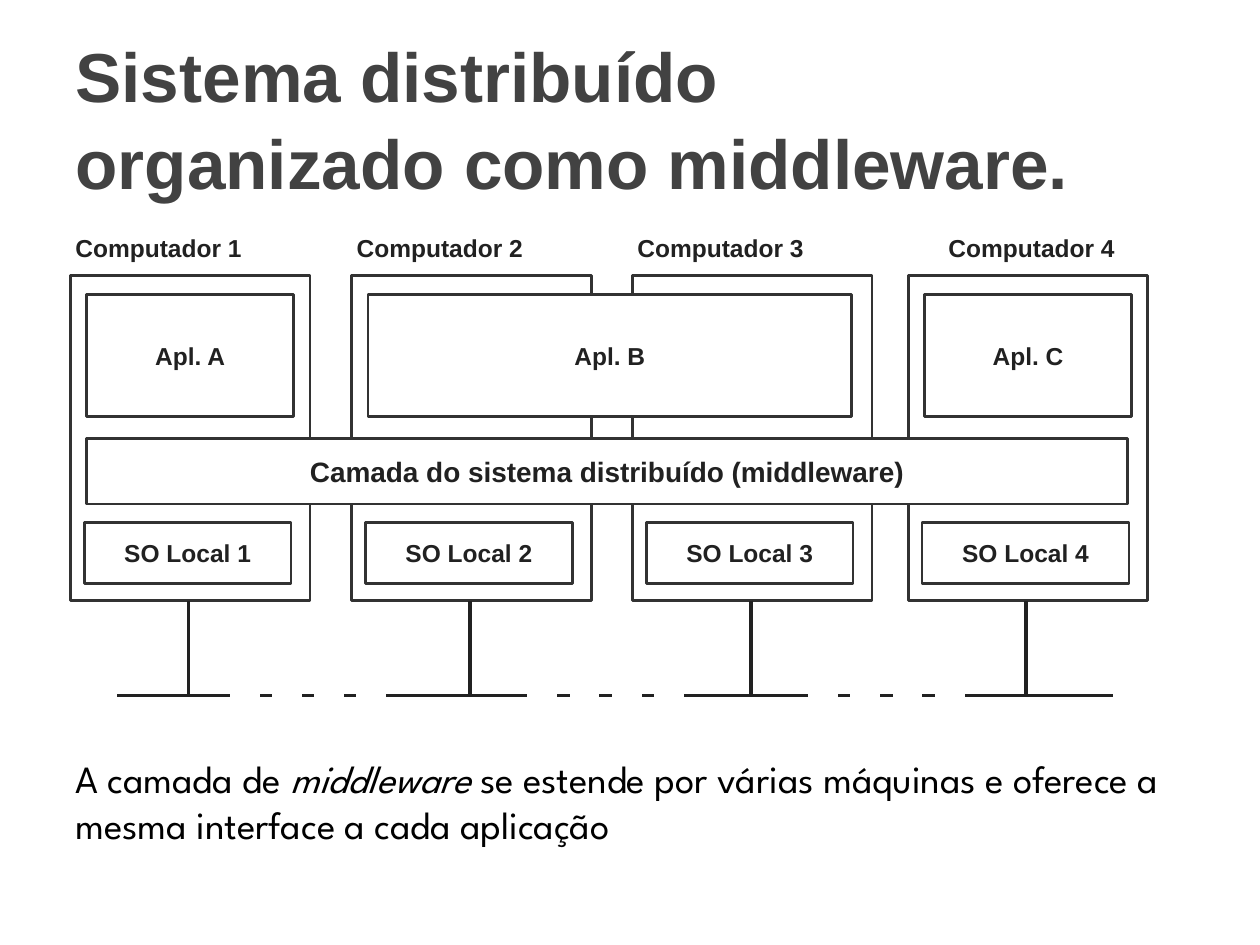
from dataclasses import dataclass
from typing import NamedTuple

from lxml.etree import SubElement
from pptx import Presentation
from pptx.dml.color import RGBColor
from pptx.enum.shapes import MSO_CONNECTOR as Connector, MSO_SHAPE as Shape
from pptx.enum.text import MSO_ANCHOR as Anchor, MSO_AUTO_SIZE as AutoSize, PP_ALIGN as Align
from pptx.oxml.ns import qn
from pptx.util import Cm, Pt


@dataclass(frozen=True)
class Theme:
    heading_font: str = "Arial"
    body_font: str = "League Spartan"
    title: str = "424242"
    ink: str = "212121"
    outline: str = "323232"
    paper: str = "FFFFFF"
    black: str = "000000"
    title_size: float = 39.6
    body_size: float = 22
    layer_size: float = 16
    label_size: float = 14


class Box(NamedTuple):
    """Left, top, width and height in centimetres."""
    x: float
    y: float
    w: float
    h: float

    def inner(self, dx, dy, w, h):
        return Box(self.x + dx, self.y + dy, w, h)

    def lengths(self):
        return [Cm(value) for value in self]


THEME = Theme()
COMPUTER_LEFTS = [0, 5.67, 11.33, 16.89]
LABEL_SHIFTS = [-0.15, -0.15, -0.15, 0.56]
COMPUTER_W, COMPUTER_H = 4.83, 6.55
APP_W, APP_H = 4.17, 2.46
GAP_STARTS = [3.25, 9.25, 14.91]
GAPS_PER_RUN, GAP_STEP = 4, 0.85


def write(frame, *parts, size=THEME.label_size, font=THEME.heading_font, color=THEME.ink,
          bold=True, align=Align.LEFT, anchor=Anchor.TOP, wrap=True, spacing=None):
    """Fill a frame with one paragraph; a part is text or (text, italic)."""
    frame.word_wrap = wrap
    frame.vertical_anchor = anchor
    para = frame.paragraphs[0]
    para.alignment = align
    para.line_spacing = spacing
    for part in parts:
        text, italic = part if isinstance(part, tuple) else (part, False)
        span = para.add_run()
        span.text = text
        span.font.size = Pt(size)
        span.font.name = font
        span.font.bold = bold
        span.font.italic = italic
        span.font.color.rgb = RGBColor.from_string(color)


def add_text(page, box, *parts, **style):
    text_box = page.shapes.add_textbox(*box.lengths())
    write(text_box.text_frame, *parts, **style)
    text_box.text_frame.auto_size = AutoSize.SHAPE_TO_FIT_TEXT


def add_block(page, box, text=None, line=THEME.outline, width=1.5, **style):
    block = page.shapes.add_shape(Shape.RECTANGLE, *box.lengths())
    block.shadow.inherit = False
    block.fill.solid()
    block.fill.fore_color.rgb = RGBColor.from_string(THEME.paper)
    block.line.color.rgb = RGBColor.from_string(line)
    block.line.width = Pt(width)
    if text:
        write(block.text_frame, text, align=Align.CENTER, anchor=Anchor.MIDDLE, **style)


def add_line(page, x1, y1, x2, y2):
    line = page.shapes.add_connector(Connector.STRAIGHT, Cm(x1), Cm(y1), Cm(x2), Cm(y2))
    line.line.color.rgb = RGBColor.from_string(THEME.ink)
    line.line.width = Pt(2.25)
    SubElement(line._element.spPr, qn("a:effectLst"))


def add_title(page, box):
    title = page.shapes.title
    title.left, title.top, title.width, title.height = box.lengths()
    write(title.text_frame, "Sistema distribuído organizado como middleware.",
          size=THEME.title_size, color=THEME.title, anchor=Anchor.MIDDLE, spacing=1.04)


def add_computer(page, box, number, label_shift):
    """A machine with its name, its local system and its link to the network."""
    add_block(page, box)
    add_block(page, box.inner(0.28, 4.98, APP_W, 1.22), f"SO Local {number}")
    add_text(page, box.inner(label_shift, -0.99, 3.89, 0.86), f"Computador {number}", wrap=False)
    link_x, bottom = box.x + 2.38, box.y + box.h
    add_line(page, link_x, bottom, link_x, bottom + 1.91)


def add_network(page, box):
    """A bus line, broken into dashes between the machines."""
    y = box.y + 8.46
    add_line(page, box.x + 0.94, y, box.x + 21.01, y)
    for start in GAP_STARTS:
        for index in range(GAPS_PER_RUN):
            gap = Box(box.x + start + index * GAP_STEP, y - 0.28, 0.53, 0.56)
            add_block(page, gap, line=THEME.paper, width=2)


def add_diagram(page, box):
    computers = [box.inner(left, 0, COMPUTER_W, COMPUTER_H) for left in COMPUTER_LEFTS]
    add_network(page, box)
    for number, (computer, shift) in enumerate(zip(computers, LABEL_SHIFTS), start=1):
        add_computer(page, computer, number, shift)

    # Applications: B spans the second and third machines
    apps = [("A", computers[0], APP_W), ("B", computers[1], 9.75), ("C", computers[3], APP_W)]
    for name, computer, width in apps:
        add_block(page, computer.inner(0.33, 0.38, width, APP_H), f"Apl. {name}")

    # Shared layer across all machines
    add_block(page, box.inner(0.33, 3.28, 20.98, 1.32),
              "Camada do sistema distribuído (middleware)", size=THEME.layer_size)


def add_caption(page, box):
    add_text(page, box, "A camada de ", ("middleware", True),
             " se estende por várias máquinas e oferece a mesma interface a cada aplicação",
             size=THEME.body_size, font=THEME.body_font, color=THEME.black, bold=False)


def main():
    deck = Presentation()
    deck.slide_width, deck.slide_height = Cm(25.4), Cm(19.05)
    page = deck.slides.add_slide(deck.slide_layouts.get_by_name("Title Only"))
    add_title(page, Box(1.27, 0.76, 21.16, 3.18))
    add_diagram(page, Box(1.42, 5.56, 21.72, 8.46))
    add_caption(page, Box(1.27, 15.09, 23.6, 2.13))
    deck.save("out.pptx")


if __name__ == "__main__":
    main()
